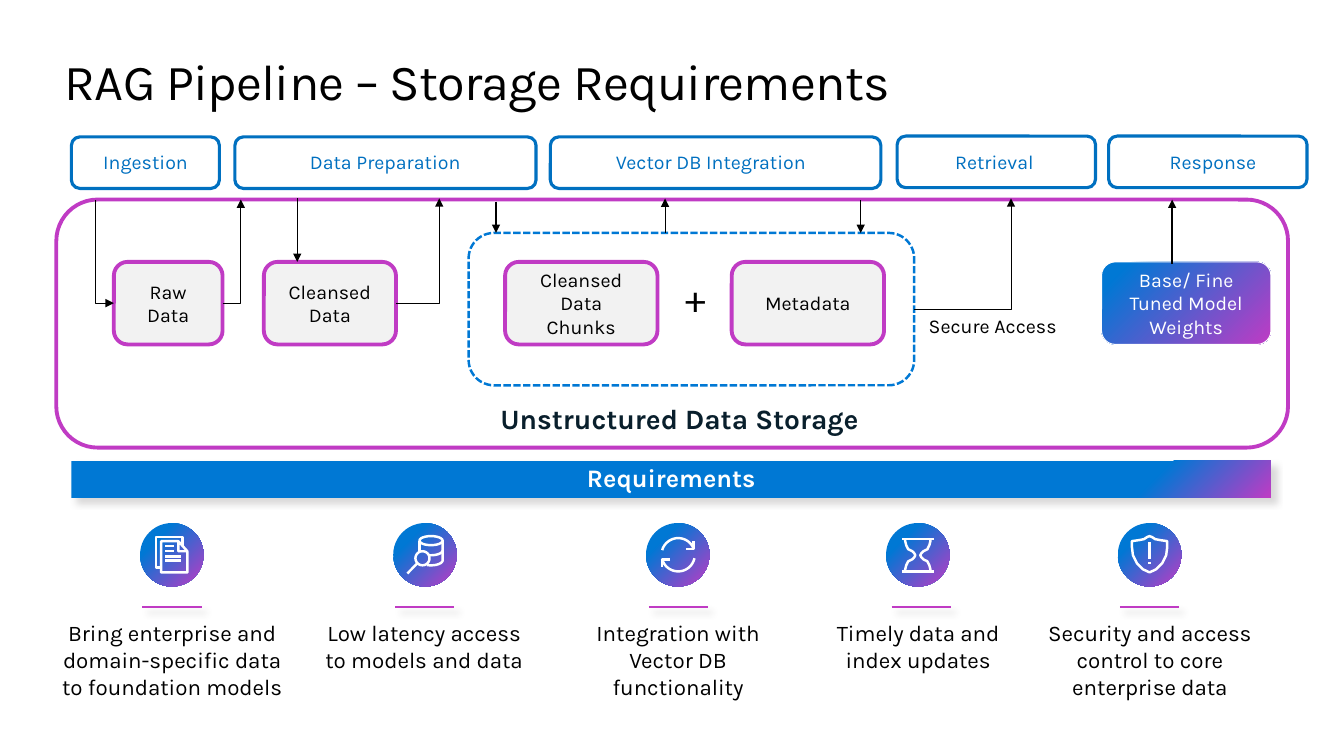
from math import cos, radians, sin

from lxml import etree
from pptx import Presentation
from pptx.dml.color import RGBColor
from pptx.enum.dml import MSO_LINE
from pptx.enum.shapes import MSO_CONNECTOR, MSO_SHAPE
from pptx.enum.text import MSO_ANCHOR, PP_ALIGN
from pptx.oxml import parse_xml
from pptx.oxml.ns import nsdecls, qn
from pptx.util import Cm, Pt

RECT, ROUND, OVAL = MSO_SHAPE.RECTANGLE, MSO_SHAPE.ROUNDED_RECTANGLE, MSO_SHAPE.OVAL
STRAIGHT, ELBOW = MSO_CONNECTOR.STRAIGHT, MSO_CONNECTOR.ELBOW
CENTER, LEFT = PP_ALIGN.CENTER, PP_ALIGN.LEFT
TOP, MIDDLE = MSO_ANCHOR.TOP, MSO_ANCHOR.MIDDLE
DASH = MSO_LINE.SQUARE_DOT
SIDE_LEFT, SIDE_RIGHT = 1, 3

BLACK = RGBColor(0x00, 0x00, 0x00)
WHITE = RGBColor(0xFF, 0xFF, 0xFF)
GREY = RGBColor(0xF2, 0xF2, 0xF2)
NAVY = RGBColor(0x09, 0x1F, 0x2C)
BLUE = RGBColor(0x00, 0x78, 0xD4)
STAGE_BLUE = RGBColor(0x00, 0x70, 0xC0)
PURPLE = RGBColor(0xC0, 0x3B, 0xC4)
SHADOW = RGBColor(0x45, 0x41, 0x42)

DISC = 1.6          # icon disc diameter in cm
UNIT = DISC / 63    # icons are drawn on a 63-unit grid


def arc(cx, cy, rx, ry, start, end, steps=24):
    angles = [radians(start + (end - start) * i / steps) for i in range(steps + 1)]
    return [(cx + rx * cos(a), cy + ry * sin(a)) for a in angles]


def mirror(points):
    return [(63 - x, y) for x, y in points]


class Slide:
    font = "Karla"

    def __init__(self, prs):
        self.s = prs.slides.add_slide(prs.slide_layouts[6])

    def label(self, sp, text, size, color, bold=False, align=CENTER, anchor=TOP,
              insets=(0, 0, 0, 0), spacing=None):
        tf = sp.text_frame
        tf.word_wrap = True
        tf.vertical_anchor = anchor
        tf.margin_left, tf.margin_top, tf.margin_right, tf.margin_bottom = map(Cm, insets)
        p = tf.paragraphs[0]
        p.alignment = align
        for i, line in enumerate(text.split("\n")):
            if i:
                p.add_line_break()
            r = p.add_run()
            r.text = line
            r.font.name, r.font.size, r.font.bold = self.font, Pt(size), bold
            r.font.color.rgb = color
            if spacing:
                r._r.get_or_add_rPr().set("spc", str(spacing))

    def text(self, box, text, size, color, **style):
        self.label(self.s.shapes.add_textbox(*map(Cm, box)), text, size, color, **style)

    def stroke(self, sp, color, width):
        sp.line.color.rgb = color
        sp.line.width = Pt(width)

    def shape(self, kind, box, fill=None, line=None, width=1.0):
        sp = self.s.shapes.add_shape(kind, *map(Cm, box))
        sp.shadow.inherit = False
        if fill is None:
            sp.fill.background()
        else:
            sp.fill.solid()
            sp.fill.fore_color.rgb = fill
        if line is None:
            sp.line.fill.background()
        else:
            self.stroke(sp, line, width)
        return sp

    def glow(self, sp, stop):
        """Radial gradient, purple in the lower right corner, blue from stop on."""
        spPr = sp._element.spPr
        spPr.replace(spPr.find(qn("a:solidFill")), parse_xml(
            f'<a:gradFill {nsdecls("a")} rotWithShape="1"><a:gsLst>'
            f'<a:gs pos="0"><a:srgbClr val="{PURPLE}"/></a:gs>'
            f'<a:gs pos="{stop * 1000}"><a:srgbClr val="{BLUE}"/></a:gs></a:gsLst>'
            '<a:path path="circle"><a:fillToRect l="100000" t="100000"/></a:path>'
            '</a:gradFill>'))

    def drop_shadow(self, sp):
        effects = sp._element.spPr.find(qn("a:effectLst"))
        effects.append(parse_xml(
            f'<a:outerShdw {nsdecls("a")} blurRad="{Pt(5)}" dist="{Pt(5)}" dir="2700000" '
            f'algn="tl" rotWithShape="0"><a:srgbClr val="{SHADOW}">'
            '<a:alpha val="20000"/></a:srgbClr></a:outerShdw>'))

    def line(self, start, end, color=BLACK, width=0.75, arrow=None, kind=STRAIGHT):
        c = self.s.shapes.add_connector(kind, *map(Cm, start + end))
        self.stroke(c, color, width)
        if arrow:
            etree.SubElement(c.line._get_or_add_ln(), qn(f"a:{arrow}"), type="triangle")
        etree.SubElement(c._element.spPr, qn("a:effectLst"))
        return c

    def elbow(self, sp, side, end, arrow="tailEnd"):
        """One-bend connector from a side of sp, first across, then up to end."""
        c = self.line(end, end, arrow=arrow, kind=ELBOW)
        c._element.spPr.find(qn("a:prstGeom")).set("prst", "bentConnector2")
        c.begin_connect(sp, side)

    def icon(self, left, top, strokes):
        outlines = [[(Cm(left + x * UNIT), Cm(top + y * UNIT)) for x, y in pts]
                    for pts in strokes]
        fb = self.s.shapes.build_freeform(*outlines[0][0])
        for i, pts in enumerate(outlines):
            if i:
                fb.move_to(*pts[0])
            fb.add_line_segments(pts[1:], close=False)
        sp = fb.convert_to_shape()
        sp.shadow.inherit = False
        sp.fill.background()
        self.stroke(sp, WHITE, 1.75)


# Icon strokes
DOCUMENTS = [
    [(21, 44), (16, 44), (16, 14), (42, 14), (42, 23)],
    [(38, 18), (38, 28), (47, 28), (38, 18), (21, 18), (21, 49), (47, 49), (47, 28)],
] + [[(25, y), (x, y)] for x, y in ((41, 37), (41, 33), (34, 28), (34, 23))]
DATABASE = [
    arc(37.5, 17.5, 11.5, 4.5, 0, 360), [(26, 18), (26, 28)],
    [(49, 18)] + arc(37.5, 37, 11.5, 5, 0, 110), arc(37.5, 27, 11.5, 5, 0, 100),
    arc(29, 35, 7, 7, 0, 360), [(14, 50), (24, 40)],
]
REFRESH = [
    arc(32, 31.5, 16.5, 16.5, 12, 165), arc(32, 31.5, 16.5, 16.5, -20, -164),
    [(40, 26), (47, 26), (47, 18)], [(24, 36), (16, 36), (16, 44)],
]
GLASS_SIDE = [(44, 48), (44, 46), (43, 42), (41, 38), (37, 36), (35, 34), (34, 32),
              (35, 30), (37, 28), (41, 26), (43, 22), (44, 18), (44, 16)]
HOURGLASS = [GLASS_SIDE, mirror(GLASS_SIDE), [(16, 16), (48, 16)], [(16, 48), (48, 48)]]
SHIELD_SIDE = [(31.5, 13), (34, 14), (37, 16), (42, 17), (49, 18), (49, 24), (48, 32),
               (44, 40), (38, 46), (31.5, 49)]
SHIELD = [SHIELD_SIDE + mirror(SHIELD_SIDE)[::-1],
          [(31.5, 19), (31.5, 36)], [(31.5, 39), (31.5, 41)]]

# Stage: name, box left, top, width, label left
STAGES = [
    ("Ingestion", 1.8, 3.45, 3.73, 1.17),
    ("Data Preparation", 5.92, 3.45, 7.59, 7.21),
    ("Vector DB Integration", 13.87, 3.45, 8.33, 15.42),
    ("Retrieval", 22.61, 3.43, 5, 22.56),
    ("Response", 27.94, 3.43, 5, 28.07),
]
# Data store: name, left, width
STORES = [("Raw Data", 2.87, 2.74), ("Cleansed Data", 6.65, 3.33),
          ("Cleansed Data Chunks", 12.73, 3.84), ("Metadata", 18.44, 3.84)]
# Straight arrow: x, start y, end y, width
ARROWS = [(7.49, 5, 6.6, 0.75), (12.5, 5.08, 5.87, 0.75), (16.76, 5.87, 5, 0.75),
          (21.69, 5.05, 5.87, 0.75), (29.54, 6.65, 5.03, 1.25)]
# Requirement: disc left, underline left, text left, icon, text
REQUIREMENTS = [
    (3.53, 3.59, 1.42, DOCUMENTS,
     "Bring enterprise and domain-specific data to foundation models"),
    (9.91, 9.96, 7.77, DATABASE, "Low latency access\nto models and data"),
    (16.28, 16.35, 14.17, REFRESH, "Integration with\nVector DB functionality"),
    (22.33, 22.47, 20.22, HOURGLASS, "Timely data and\nindex updates"),
    (28.17, 28.22, 26.06, SHIELD, "Security and access control to core enterprise data"),
]


def main():
    prs = Presentation()
    prs.slide_width, prs.slide_height = Cm(33.87), Cm(19.05)
    s = Slide(prs)
    s.text((1.63, 1.27, 30.61, 1.55), "RAG Pipeline – Storage Requirements", 36, BLACK,
           align=LEFT, spacing=-50)

    # Pipeline stages
    for name, left, top, width, label_left in STAGES:
        s.shape(ROUND, (left, top, width, 1.3), line=STAGE_BLUE, width=2.25)
        s.text((label_left, 3.78, 5, 0.61), name, 14, STAGE_BLUE)

    # Storage area with its data stores
    s.shape(ROUND, (1.42, 5.03, 31.04, 6.25), WHITE, PURPLE, 2.75)
    vector_db = s.shape(ROUND, (11.81, 5.87, 11.23, 3.84), line=BLUE, width=1.75)
    vector_db.line.dash_style = DASH
    boxed = {"anchor": MIDDLE, "insets": (0.5, 0.4, 0.5, 0.4)}
    stores = []
    for name, left, width in STORES:
        sp = s.shape(ROUND, (left, 6.6, width, 2.08), GREY, PURPLE, 2.75)
        s.label(sp, name, 14, BLACK, **boxed)
        stores.append(sp)
    weights = s.shape(ROUND, (27.76, 6.6, 4.27, 2.08), BLUE, WHITE, 0.75)
    s.glow(weights, 89)
    s.label(weights, "Base/ Fine Tuned Model Weights", 14, WHITE, **boxed)
    s.text((17.04, 6.88, 0.97, 1.19), "+", 28, BLACK)
    s.text((23.24, 7.92, 3.56, 0.61), "Secure Access", 14, BLACK)
    s.text((11.25, 10.13, 11.76, 0.86), "Unstructured Data Storage", 20, NAVY, bold=True)

    # Data flow
    raw, cleansed = stores[:2]
    s.elbow(raw, SIDE_LEFT, (2.41, 5.03), arrow="headEnd")
    s.elbow(raw, SIDE_RIGHT, (6.07, 5.03))
    s.elbow(cleansed, SIDE_RIGHT, (11.07, 5))
    s.elbow(vector_db, SIDE_RIGHT, (25.48, 5))
    for x, y1, y2, width in ARROWS:
        s.line((x, y1), (x, y2), width=width, arrow="tailEnd")

    # Requirements
    bar = s.shape(RECT, (1.8, 11.61, 30.23, 0.94), BLUE)
    s.glow(bar, 11)
    s.drop_shadow(bar)
    s.label(bar, "Requirements", 18, WHITE, bold=True, anchor=MIDDLE,
            insets=(0.38, 0.05, 0.38, 0.15))
    for disc_left, rule_left, text_left, strokes, text in REQUIREMENTS:
        s.glow(s.shape(OVAL, (disc_left, 13.18, DISC, DISC), BLUE), 74)
        s.icon(disc_left, 13.18, strokes)
        s.drop_shadow(s.line((rule_left, 15.3), (rule_left + 1.49, 15.3), PURPLE, 1.5))
        s.text((text_left, 15.6, 5.84, 2.03), text, 16, BLACK)
    prs.save("out.pptx")


if __name__ == "__main__":
    main()
